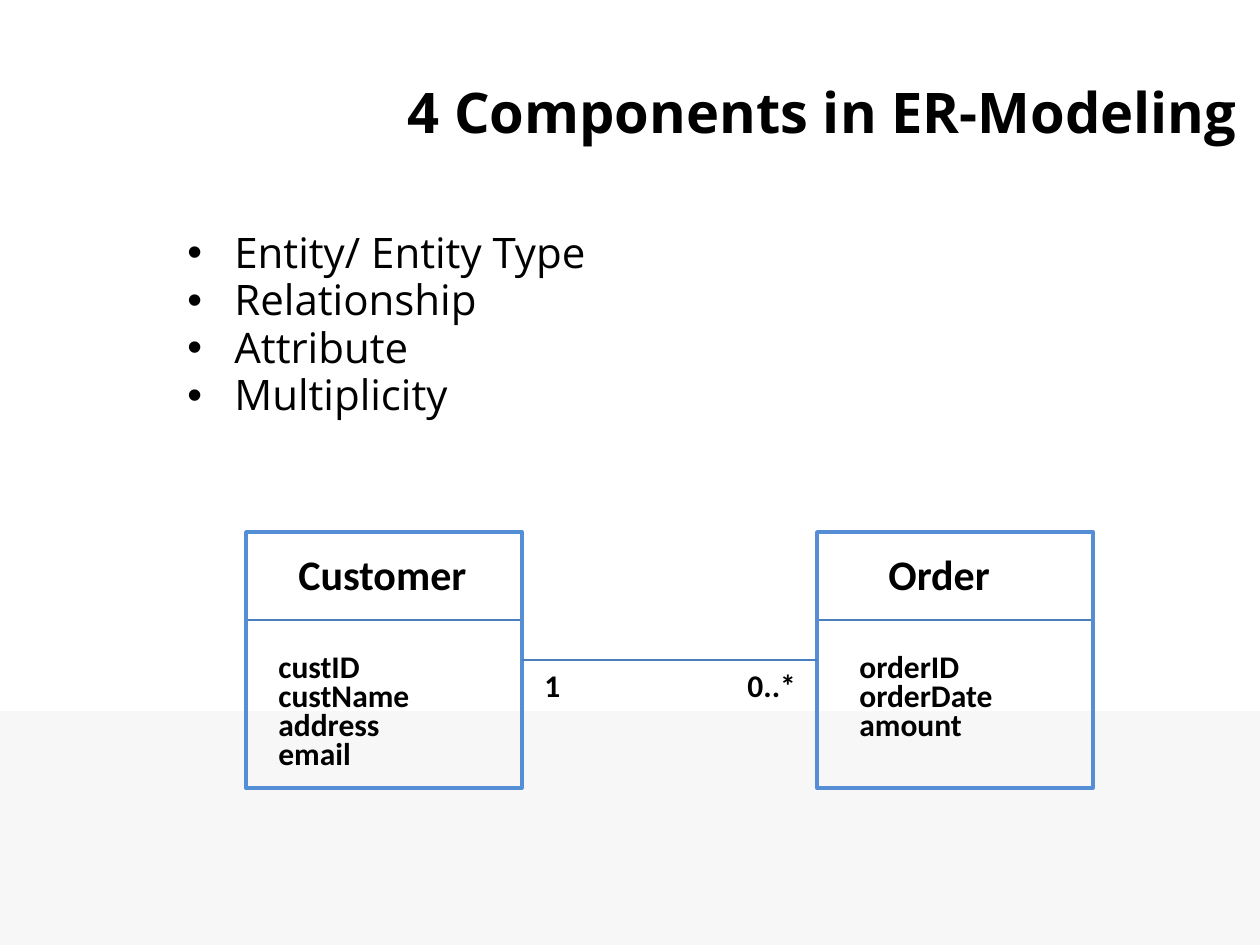
from pptx import Presentation
from pptx.dml.color import RGBColor
from pptx.enum.shapes import MSO_CONNECTOR as Connector, MSO_SHAPE as Shape
from pptx.enum.text import MSO_ANCHOR as Anchor, PP_ALIGN as Align
from pptx.oxml.ns import qn
from pptx.util import Emu, Pt
from lxml.etree import SubElement

PX_PER_INCH = 126
COLORS = {"text": "000000", "band": "F7F7F7", "box": "558ED5", "rule": "4B7EBC"}
TITLE_FONT, DIAGRAM_FONT = "Open Sans", "Calibri"

BOX_TOP, BOX_WIDTH, BOX_HEIGHT = 532, 276, 256
RULE_TOP = 620
ATTRIBUTE_TOP, ATTRIBUTE_STEP = 641, 29


def px(length):
    return Emu(round(length * 914400 / PX_PER_INCH))


def color(name):
    return RGBColor.from_string(COLORS[name])


class SlideBuilder:
    def __init__(self, slide):
        self.slide = slide

    def rectangle(self, left, top, width, height, fill=None, line=None):
        shape = self.slide.shapes.add_shape(
            Shape.RECTANGLE, px(left), px(top), px(width), px(height))
        shape.shadow.inherit = False
        if fill:
            shape.fill.solid()
            shape.fill.fore_color.rgb = color(fill)
        else:
            shape.fill.background()
        if line:
            shape.line.color.rgb = color(line)
            shape.line.width = Pt(2)
        else:
            shape.line.fill.background()
        return shape

    def connector(self, left=0, top=0, right=0, bottom=0):
        line = self.slide.shapes.add_connector(
            Connector.STRAIGHT, px(left), px(top), px(right), px(bottom))
        line.line.color.rgb = color("rule")
        line.line.width = Pt(0.75)
        SubElement(line._element.spPr, qn("a:effectLst"))
        return line

    def text(self, left, top, width, height, lines, size, font=DIAGRAM_FONT,
             bold=True, align=Align.LEFT, anchor=Anchor.TOP, bullets=False):
        box = self.slide.shapes.add_textbox(px(left), px(top), px(width), px(height))
        frame = box.text_frame
        frame.word_wrap = True
        frame.vertical_anchor = anchor
        for index, line in enumerate(lines):
            paragraph = frame.add_paragraph() if index else frame.paragraphs[0]
            paragraph.alignment = align
            if bullets:
                self.bullet(paragraph)
                paragraph.line_spacing = 0.9
                paragraph.space_before = Pt(1.2 if index else 0)
            run = paragraph.add_run()
            run.text = line
            run.font.name = font
            run.font.size = Pt(size)
            run.font.bold = bold
            run.font.color.rgb = color("text")

    def bullet(self, paragraph):
        properties = paragraph._p.get_or_add_pPr()
        indent = px(47)
        properties.set("marL", str(indent))
        properties.set("indent", str(-indent))
        SubElement(properties, qn("a:buFont")).set("typeface", "Arial")
        SubElement(properties, qn("a:buChar")).set("char", "•")

    def entity(self, left, name, name_left, attributes, attribute_left):
        """Draw an entity box with its name above the rule and attributes below."""
        self.connector(left, RULE_TOP, left + BOX_WIDTH, RULE_TOP)
        box = self.rectangle(left, BOX_TOP, BOX_WIDTH, BOX_HEIGHT, line="box")
        self.text(name_left, 542, 237, 63, [name], 24)
        for index, attribute in enumerate(attributes):
            top = ATTRIBUTE_TOP + index * ATTRIBUTE_STEP
            self.text(attribute_left, top, 168, 50, [attribute], 18)
        return box

    def relationship(self, source, target):
        line = self.connector()
        line.begin_connect(source, 3)
        line.end_connect(target, 1)


def main():
    presentation = Presentation()
    presentation.slide_width, presentation.slide_height = px(1260), px(945)
    slide = presentation.slides.add_slide(presentation.slide_layouts[6])
    builder = SlideBuilder(slide)

    builder.rectangle(0, 711, 1260, 234, fill="band")
    builder.text(305, 32, 945, 158, ["4 Components in ER-Modeling"], 32,
                 font=TITLE_FONT, align=Align.RIGHT, anchor=Anchor.MIDDLE)
    components = ["Entity/ Entity Type", "Relationship", "Attribute", "Multiplicity"]
    builder.text(175, 226, 750, 624, components, 24,
                 font=TITLE_FONT, bold=False, bullets=True)

    customer = builder.entity(
        246, "Customer", 286, ["custID", "custName", "address", "email"], 266)
    order = builder.entity(
        817, "Order", 876, ["orderID", "orderDate", "amount"], 847)
    builder.relationship(customer, order)
    for left, width, multiplicity in [(532, 69, "1"), (735, 92, "0..*")]:
        builder.text(left, 660, width, 50, [multiplicity], 18)

    presentation.save("out.pptx")


if __name__ == "__main__":
    main()
